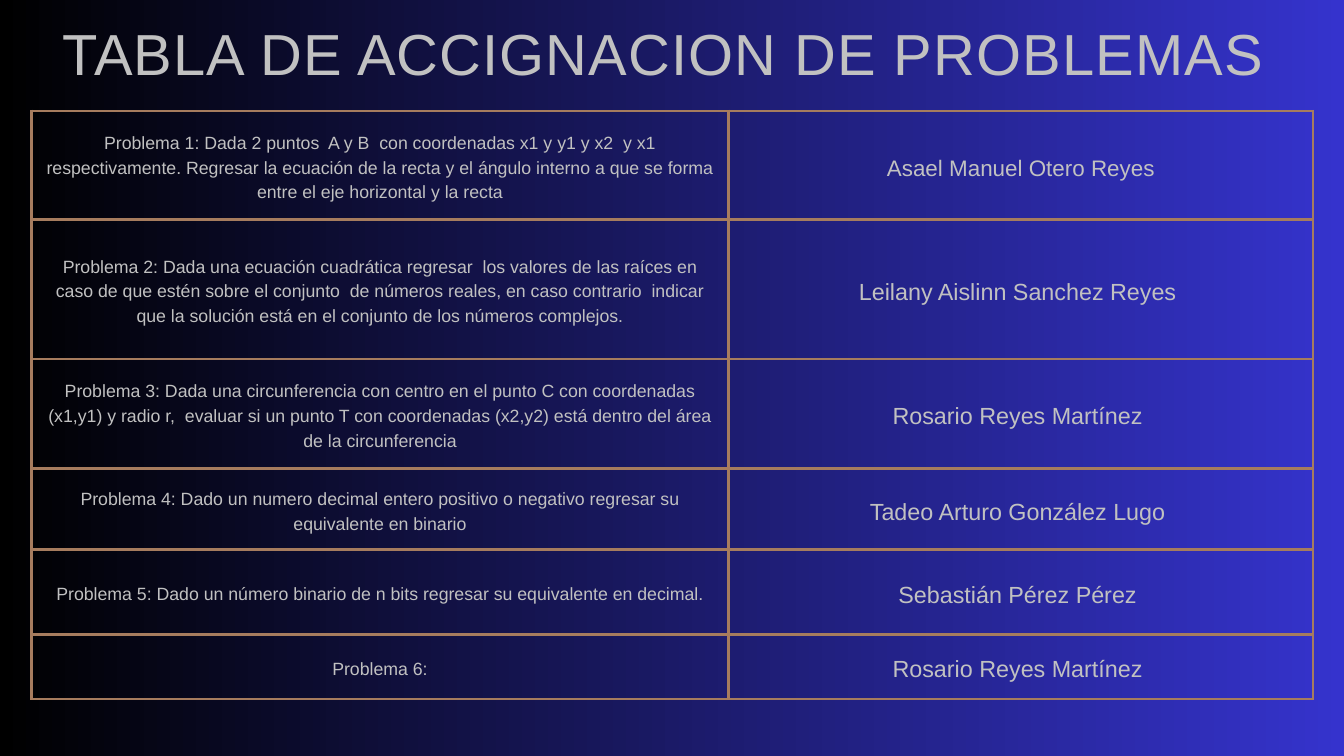
from lxml.etree import SubElement
from pptx import Presentation
from pptx.dml.color import RGBColor
from pptx.enum.text import MSO_ANCHOR, PP_ALIGN
from pptx.oxml.ns import qn
from pptx.util import Inches, Pt

BLACK = RGBColor(0x00, 0x00, 0x00)
BLUE = RGBColor(0x35, 0x33, 0xCD)
SILVER = RGBColor(0xC1, 0xC1, 0xC1)
BRONZE = RGBColor(0xA6, 0x7C, 0x5E)

COLS = [10.37, 8.7]
# Row height, problem, student, student text size
ROWS = [
    (1.62, "Problema 1: Dada 2 puntos  A y B  con coordenadas x1 y y1 y x2  y x1 "
     "respectivamente. Regresar la ecuación de la recta y el ángulo interno a que "
     "se forma entre el eje horizontal y la recta",
     "Asael Manuel Otero Reyes", 24),
    (2.07, "Problema 2: Dada una ecuación cuadrática regresar  los valores de las "
     "raíces en caso de que estén sobre el conjunto  de números reales, en caso "
     "contrario  indicar que la solución está en el conjunto de los números complejos.",
     "Leilany Aislinn Sanchez Reyes ", 25),
    (1.63, "Problema 3: Dada una circunferencia con centro en el punto C con "
     "coordenadas (x1,y1) y radio r,  evaluar si un punto T con coordenadas (x2,y2) "
     "está dentro del área de la circunferencia",
     "Rosario Reyes Martínez ", 25),
    (1.21, "Problema 4: Dado un numero decimal entero positivo o negativo regresar "
     "su equivalente en binario",
     "Tadeo Arturo González Lugo ", 25),
    (1.26, "Problema 5: Dado un número binario de n bits regresar su equivalente "
     "en decimal.",
     "Sebastián Pérez Pérez ", 25),
    (0.96, "Problema 6:", "Rosario Reyes Martínez ", 25),
]


def set_text(frame, text, size, lead):
    para = frame.paragraphs[0]
    para.text = text
    para.alignment = PP_ALIGN.CENTER
    para.line_spacing = Pt(lead)
    para.font.name = "Arial"
    para.font.size = Pt(size)
    para.font.color.rgb = SILVER
    return para


def set_pad(item, pad):
    item.margin_left = item.margin_right = Inches(pad)
    item.margin_top = item.margin_bottom = Inches(pad)


def add_lines(cell):
    props = cell._tc.get_or_add_tcPr()
    for pos, side in enumerate(("lnL", "lnR", "lnT", "lnB")):
        line = props.makeelement(qn(f"a:{side}"), {"w": str(Pt(3))})
        fill = SubElement(line, qn("a:solidFill"))
        SubElement(fill, qn("a:srgbClr"), val=str(BRONZE))
        props.insert(pos, line)


def fill_cell(cell, text, size):
    cell.fill.background()
    cell.vertical_anchor = MSO_ANCHOR.MIDDLE
    set_pad(cell, 0.21)
    set_text(cell.text_frame, text, size, size * 1.4)
    add_lines(cell)


def add_grid(slide):
    high = sum(row[0] for row in ROWS)
    table = slide.shapes.add_table(
        len(ROWS), len(COLS), Inches(0.47), Inches(1.65),
        Inches(sum(COLS)), Inches(high)).table
    table.first_row = table.horz_banding = False
    for col, width in zip(table.columns, COLS):
        col.width = Inches(width)
    for num, (height, task, name, size) in enumerate(ROWS):
        table.rows[num].height = Inches(height)
        fill_cell(table.cell(num, 0), task, 19)
        fill_cell(table.cell(num, 1), name, size)


def add_title(slide, text):
    box = slide.shapes.add_textbox(
        Inches(0.62), Inches(0.44), Inches(18.76), Inches(1.04))
    frame = box.text_frame
    frame.word_wrap = True
    set_pad(frame, 0)
    para = set_text(frame, text, 62, 62)
    # Letter spacing in hundredths of a point
    para.runs[0]._r.get_or_add_rPr().set("spc", "120")


def set_back(slide):
    fill = slide.background.fill
    fill.gradient()
    fill.gradient_angle = 0
    for stop, color in zip(fill.gradient_stops, (BLACK, BLUE)):
        stop.color.rgb = color


def main():
    deck = Presentation()
    deck.slide_width = Inches(20)
    deck.slide_height = Inches(11.25)
    slide = deck.slides.add_slide(deck.slide_layouts[6])

    set_back(slide)
    add_grid(slide)
    add_title(slide, "TABLA DE ACCIGNACION DE PROBLEMAS ")

    deck.save("out.pptx")


if __name__ == "__main__":
    main()
